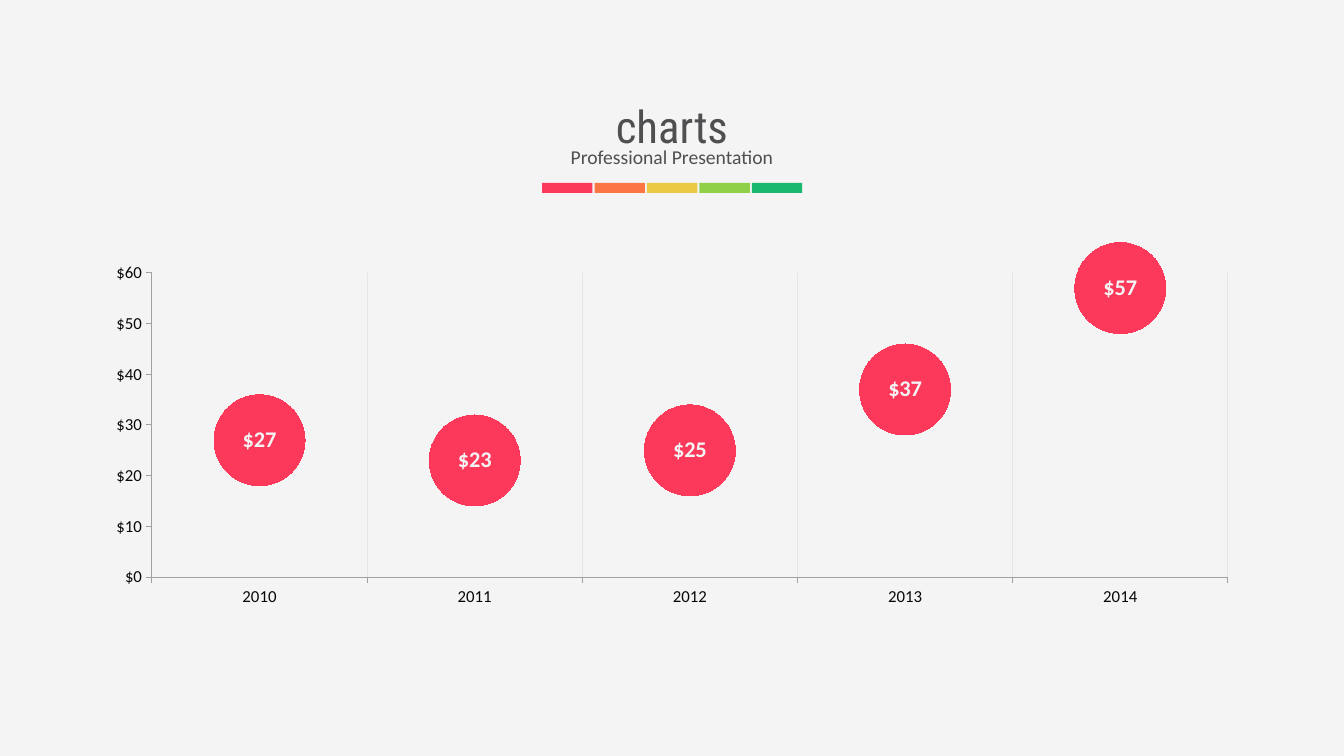
from dataclasses import dataclass

from lxml.etree import SubElement
from pptx import Presentation
from pptx.chart.data import CategoryChartData
from pptx.dml.color import RGBColor
from pptx.enum.chart import XL_CHART_TYPE as ChartType
from pptx.enum.chart import XL_LABEL_POSITION as LabelPosition
from pptx.enum.chart import XL_MARKER_STYLE as MarkerStyle
from pptx.enum.chart import XL_TICK_MARK as TickMark
from pptx.enum.shapes import MSO_SHAPE as Preset
from pptx.enum.text import PP_ALIGN as Align
from pptx.oxml.ns import qn
from pptx.util import Inches, Pt

WIDTH, HEIGHT = Inches(13.33), Inches(7.5)
COLUMN, ROW = WIDTH / 100, HEIGHT / 100
PAPER, INK, CHART_INK = "F4F4F4", "4F4F52", "070707"
AXIS_GREY, GRID_GREY, RED = "A0A0A3", "E5E5E5", "FC395B"
STRIPE_COLOURS = (RED, "FB7545", "E9C944", "90D049", "18B96E")
PRICES = {"2010": 27, "2011": 23, "2012": 25, "2013": 37, "2014": 57}
DOLLARS = "[$$-C09]#,##0"


@dataclass(frozen=True)
class Area:
    column: float
    row: float
    columns: float
    rows: float

    def place(self) -> tuple[int, int, int, int]:
        return (round(self.column * COLUMN), round(self.row * ROW),
                round(self.columns * COLUMN), round(self.rows * ROW))


@dataclass(frozen=True)
class Stripe:
    area: Area
    colour: str


CHART_AREA = Area(8.55, 30.93, 82.9, 49.6)
PLOT_AREA = Area(11.31, 36.1, 80.06, 40.25)
STRIPES = [Stripe(Area(40.34 + 3.9 * i, 24.2, 3.75, 1.33), colour)
           for i, colour in enumerate(STRIPE_COLOURS)]


def rgb(colour: str) -> RGBColor:
    return RGBColor.from_string(colour)


def paint(fill, colour: str) -> None:
    fill.solid()
    fill.fore_color.rgb = rgb(colour)


def style_font(font, *, size: float, colour: str, face: str = "Calibri", bold: bool = False) -> None:
    font.size, font.name, font.bold = Pt(size), face, bold
    font.color.rgb = rgb(colour)


def add_text(slide, area: Area, text: str, **font_format) -> None:
    frame = slide.shapes.add_textbox(*area.place()).text_frame
    frame.word_wrap = True
    paragraph = frame.paragraphs[0]
    paragraph.alignment = Align.CENTER
    run = paragraph.add_run()
    run.text = text
    style_font(run.font, **font_format)


def add_stripe(slide, stripe: Stripe) -> None:
    bar = slide.shapes.add_shape(Preset.RECTANGLE, *stripe.area.place())
    bar.shadow.inherit = False
    paint(bar.fill, stripe.colour)
    bar.line.fill.background()


def style_line(line, colour: str) -> None:
    line.color.rgb = rgb(colour)
    line.width = Pt(0.75)


def style_axis(axis) -> None:
    axis.major_tick_mark = TickMark.OUTSIDE
    axis.minor_tick_mark = TickMark.NONE
    style_line(axis.format.line, AXIS_GREY)
    style_font(axis.tick_labels.font, size=12, colour=CHART_INK)


def fix_plot_area(chart, outer: Area, inner: Area) -> None:
    plot_area = chart.plots[0]._element.getparent()
    layout = plot_area.find(qn("c:layout"))
    if layout is None:
        layout = SubElement(plot_area, qn("c:layout"))
        plot_area.insert(0, layout)
    manual = SubElement(layout, qn("c:manualLayout"))
    settings = {
        "layoutTarget": "inner", "xMode": "edge", "yMode": "edge",
        "x": (inner.column - outer.column) / outer.columns,
        "y": (inner.row - outer.row) / outer.rows,
        "w": inner.columns / outer.columns,
        "h": inner.rows / outer.rows,
    }
    for tag, value in settings.items():
        SubElement(manual, qn(f"c:{tag}")).set("val", str(value))


def add_price_chart(slide) -> None:
    prices = CategoryChartData(number_format=DOLLARS)
    prices.categories = list(PRICES)
    prices.add_series("Series 1", list(PRICES.values()))
    chart = slide.shapes.add_chart(ChartType.LINE_MARKERS, *CHART_AREA.place(), prices).chart
    chart.has_legend = False
    chart.has_title = False
    style_font(chart.font, size=18, colour=CHART_INK)
    fix_plot_area(chart, CHART_AREA, PLOT_AREA)

    years, dollars = chart.category_axis, chart.value_axis
    for axis in (years, dollars):
        style_axis(axis)
    years.has_major_gridlines = True
    style_line(years.major_gridlines.format.line, GRID_GREY)
    dollars.has_major_gridlines = False
    dollars.minimum_scale, dollars.maximum_scale, dollars.major_unit = 0, 60, 10
    dollars.tick_labels.number_format = DOLLARS
    dollars.tick_labels.number_format_is_linked = False

    chart.plots[0].vary_by_categories = False
    series = chart.plots[0].series[0]
    series.smooth = False
    series.format.line.fill.background()
    bubble = series.marker
    bubble.style, bubble.size = MarkerStyle.CIRCLE, 65
    paint(bubble.format.fill, RED)
    bubble.format.line.fill.background()
    labels = series.data_labels
    labels.show_value = True
    labels.position = LabelPosition.CENTER
    labels.number_format = DOLLARS
    labels.number_format_is_linked = False
    style_font(labels.font, size=16, colour=PAPER, bold=True)


def main() -> None:
    deck = Presentation()
    deck.slide_width, deck.slide_height = WIDTH, HEIGHT
    slide = deck.slides.add_slide(deck.slide_layouts[6])
    paint(slide.background.fill, PAPER)
    add_text(slide, Area(0, 12.4, 100, 8.53), "charts",
             size=32, colour=INK, face="Roboto Condensed")
    add_text(slide, Area(5.1, 18.53, 89.8, 4.53), "Professional Presentation",
             size=14, colour=INK)
    for stripe in STRIPES:
        add_stripe(slide, stripe)
    add_price_chart(slide)
    deck.save("out.pptx")


if __name__ == "__main__":
    main()
